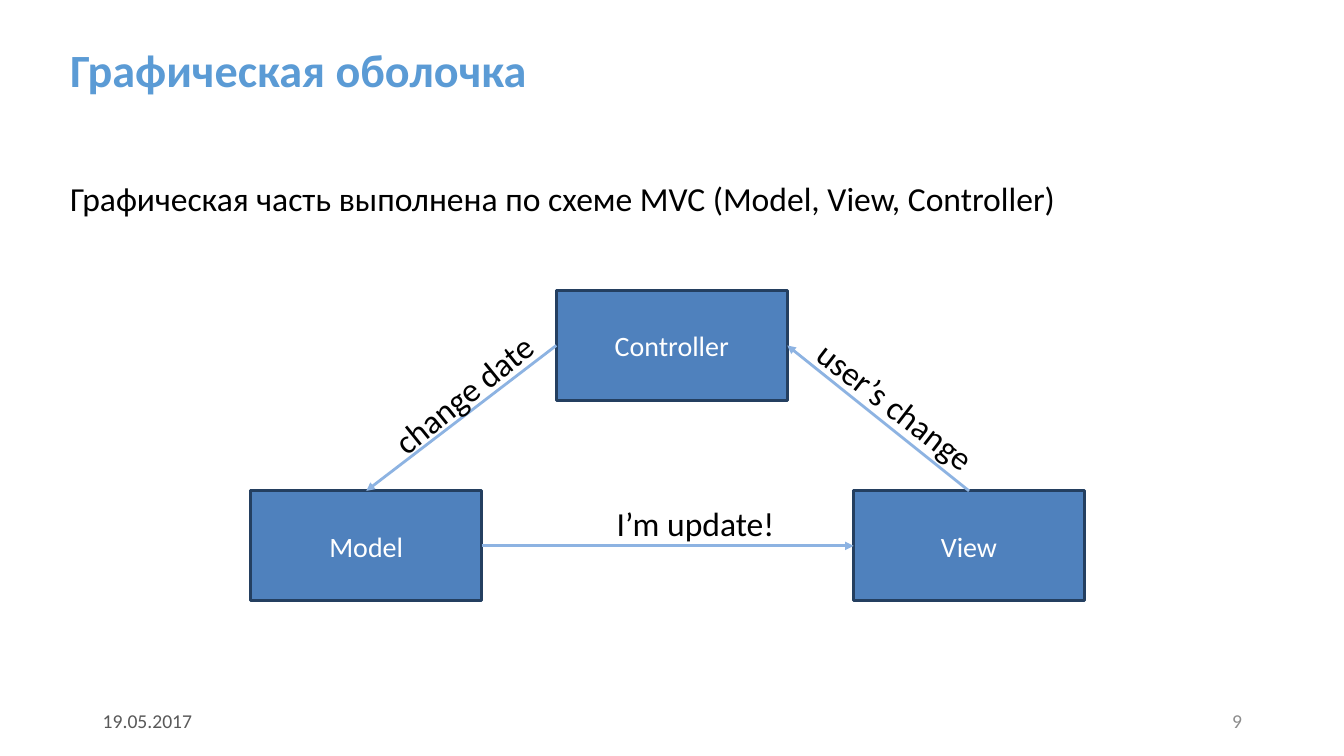
"""Build a slide that shows the Model, View, Controller scheme of a graphical shell."""
from lxml import etree
from pptx import Presentation
from pptx.dml.color import RGBColor
from pptx.enum.shapes import MSO_CONNECTOR, MSO_SHAPE
from pptx.enum.text import MSO_ANCHOR, PP_ALIGN
from pptx.oxml.ns import qn
from pptx.util import Cm, Pt

STRAIGHT = MSO_CONNECTOR.STRAIGHT
PROCESS = MSO_SHAPE.FLOWCHART_PROCESS
TOP, MIDDLE = MSO_ANCHOR.TOP, MSO_ANCHOR.MIDDLE
LEFT, CENTER, RIGHT = PP_ALIGN.LEFT, PP_ALIGN.CENTER, PP_ALIGN.RIGHT

COLORS = {
    "title": "5B9BD5",
    "text": "000000",
    "date": "595959",
    "number": "8C8C8C",
    "box": "4F81BD",
    "border": "243F60",
    "label": "FFFFFF",
    "arrow": "8DB3E2",
}


def color(name):
    return RGBColor.from_string(COLORS[name])


def write(shape, text, size, tone, align=LEFT, anchor=TOP, wrap=True):
    frame = shape.text_frame
    frame.word_wrap = wrap
    frame.vertical_anchor = anchor
    para = frame.paragraphs[0]
    para.text = text
    para.alignment = align
    para.font.name = "Calibri"
    para.font.size = Pt(size)
    para.font.color.rgb = color(tone)
    return para


deck = Presentation()
deck.slide_width, deck.slide_height = Cm(33.87), Cm(19.05)
slide = deck.slides.add_slide(deck.slide_layouts[6])
shapes = slide.shapes

title = shapes.add_textbox(Cm(1.52), Cm(0.33), Cm(23.8), Cm(3))
para = write(title, "Графическая оболочка", 33, "title", anchor=MIDDLE)
para.font.bold = True
para.line_spacing = 0.9

intro = shapes.add_textbox(Cm(1.52), Cm(4.37), Cm(25.58), Cm(1.27))
write(intro, "Графическая часть выполнена по схеме MVC (Model, View, Controller)",
      24, "text", wrap=False)

boxes = {}
for name, left, top in [
    ("View", 21.51, 12.37),
    ("Controller", 14.02, 7.32),
    ("Model", 6.32, 12.37),
]:
    box = shapes.add_shape(PROCESS, Cm(left), Cm(top), Cm(5.82), Cm(2.77))
    box.shadow.inherit = False
    box.fill.solid()
    box.fill.fore_color.rgb = color("box")
    box.line.color.rgb = color("border")
    box.line.width = Pt(2)
    write(box, name, 20, "label", CENTER, MIDDLE)
    boxes[name] = box

for start, exit_side, end, entry_side in [
    ("Model", 3, "View", 1),
    ("View", 0, "Controller", 3),
    ("Controller", 1, "Model", 0),
]:
    arrow = shapes.add_connector(STRAIGHT, 0, 0, 0, 0)
    arrow.begin_connect(boxes[start], exit_side)
    arrow.end_connect(boxes[end], entry_side)
    arrow.line.color.rgb = color("arrow")
    arrow.line.width = Pt(2)
    etree.SubElement(arrow.line._get_or_add_ln(), qn("a:tailEnd"), type="triangle")
    etree.SubElement(arrow._element.spPr, qn("a:effectLst"))

for text, left, top, width, angle, wrap in [
    ("I’m update!", 15.29, 12.55, 4.52, 0, False),
    ("user’s change", 19.84, 10.01, 6.55, 37.8, True),
    ("change date", 9.32, 9.27, 4.75, 321.1, False),
]:
    note = shapes.add_textbox(Cm(left), Cm(top), Cm(width), Cm(1.27))
    note.rotation = angle
    write(note, text, 24, "text", wrap=wrap)

for text, left, tone, align in [
    ("19.05.2017", 2.34, "date", LEFT),
    ("9", 23.93, "number", RIGHT),
]:
    footer = shapes.add_textbox(Cm(left), Cm(17.65), Cm(7.62), Cm(1.02))
    write(footer, text, 14, tone, align, MIDDLE)

deck.save("out.pptx")
